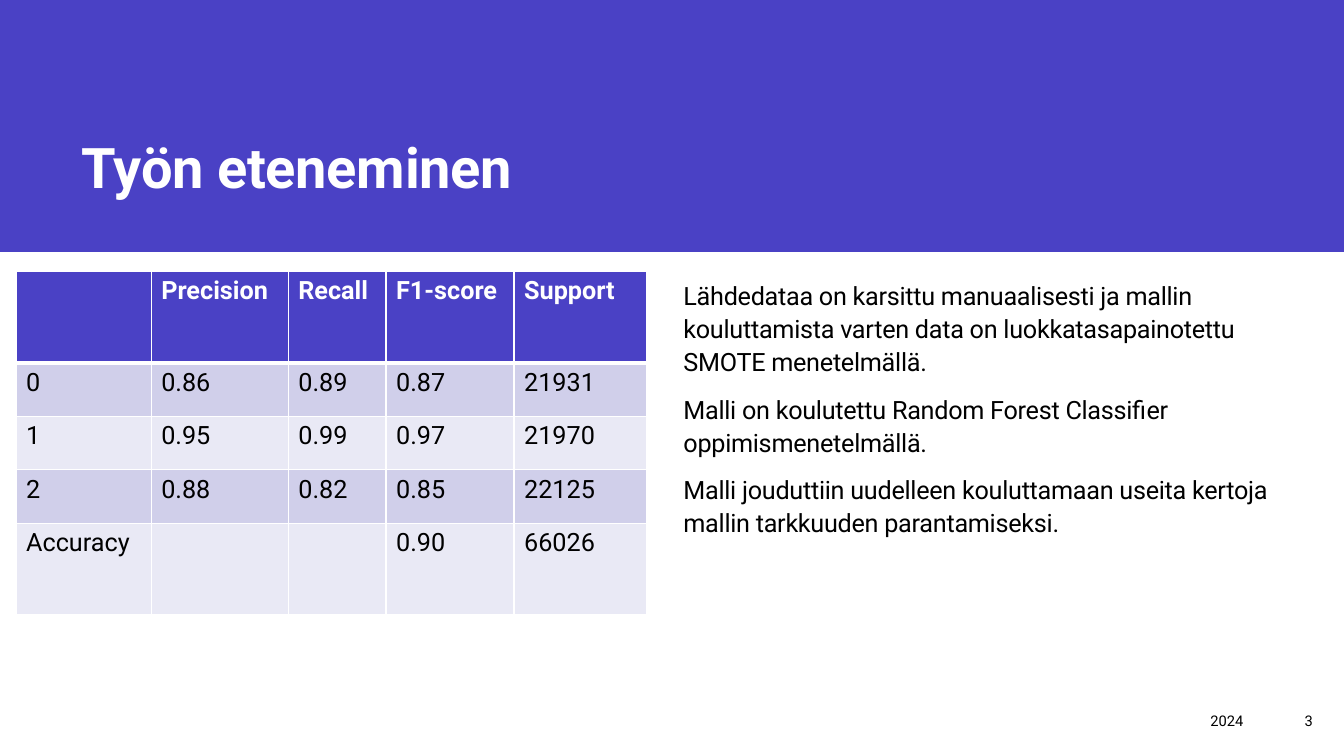
from lxml.etree import SubElement
from pptx import Presentation
from pptx.dml.color import RGBColor
from pptx.enum.shapes import MSO_SHAPE
from pptx.enum.text import MSO_ANCHOR, PP_ALIGN
from pptx.oxml.ns import qn
from pptx.util import Inches, Pt

SLIDE_WIDTH, SLIDE_HEIGHT = 13.33, 7.5
FONT = "Roboto"
COLORS = {
    "accent": "4A41C5",
    "band_dark": "D0CFEA",
    "band_light": "E9E9F5",
    "white": "FFFFFF",
    "black": "000000",
}
SCORES = [
    ["", "Precision", "Recall", "F1-score", "Support"],
    ["0", "0.86", "0.89", "0.87", "21931"],
    ["1", "0.95", "0.99", "0.97", "21970"],
    ["2", "0.88", "0.82", "0.85", "22125"],
    ["Accuracy", "", "", "0.90", "66026"],
]
COLUMN_WIDTHS = [1.34, 1.36, 0.97, 1.27, 1.31]
TALL_ROW, SHORT_ROW = 0.91, 0.53
ROW_HEIGHTS = [TALL_ROW] + [SHORT_ROW] * 3 + [TALL_ROW]
FINDINGS = [
    "Lähdedataa on karsittu manuaalisesti ja mallin kouluttamista varten "
    "data on luokkatasapainotettu SMOTE menetelmällä.",
    "Malli on koulutettu Random Forest Classifier oppimismenetelmällä.",
    "Malli jouduttiin uudelleen kouluttamaan useita kertoja mallin "
    "tarkkuuden parantamiseksi.",
]


def color(name):
    return RGBColor.from_string(COLORS[name])


def box(left, top, width, height):
    return [Inches(length) for length in (left, top, width, height)]


def add_run(paragraph, text, size, ink="black", bold=False, spacing=None):
    """Append a run; spacing is in hundredths of a point."""
    run = paragraph.add_run()
    run.text = text
    run.font.name = FONT
    run.font.size = Pt(size)
    run.font.bold = bold
    run.font.color.rgb = color(ink)
    if spacing is not None:
        run.font._element.set("spc", str(spacing))


def add_banner(slide):
    banner = slide.shapes.add_shape(
        MSO_SHAPE.RECTANGLE, *box(0, 0, SLIDE_WIDTH, SLIDE_HEIGHT / 3))
    banner.shadow.inherit = False
    banner.fill.solid()
    banner.fill.fore_color.rgb = color("accent")
    banner.line.fill.background()
    slide.shapes.title._element.addprevious(banner._element)


def set_title(slide, text):
    title = slide.shapes.title
    title.left, title.top, title.width, title.height = box(0.71, 0.4, 10.42, 1.64)
    frame = title.text_frame
    frame.word_wrap = True
    frame.vertical_anchor = MSO_ANCHOR.BOTTOM
    heading = frame.paragraphs[0]
    heading.alignment = PP_ALIGN.LEFT
    heading.line_spacing = 0.9
    add_run(heading, text, 40, "white", bold=True, spacing=-20)


def set_borders(cell, top, bottom):
    """Draw white borders, given the top and bottom widths in points."""
    properties = cell._tc.get_or_add_tcPr()
    for side, width in (("L", 1), ("R", 1), ("T", top), ("B", bottom)):
        border = SubElement(properties, qn(f"a:ln{side}"), w=str(Pt(width)))
        fill = SubElement(border, qn("a:solidFill"))
        SubElement(fill, qn("a:srgbClr"), val=COLORS["white"])


def add_score_table(slide):
    table = slide.shapes.add_table(
        len(SCORES), len(SCORES[0]),
        *box(0.16, 2.69, sum(COLUMN_WIDTHS), sum(ROW_HEIGHTS))).table
    for column, width in zip(table.columns, COLUMN_WIDTHS):
        column.width = Inches(width)
    for row, height in zip(table.rows, ROW_HEIGHTS):
        row.height = Inches(height)
    for r, scores in enumerate(SCORES):
        header = r == 0
        band = "accent" if header else ("band_light", "band_dark")[r % 2]
        for c, score in enumerate(scores):
            cell = table.cell(r, c)
            set_borders(cell, top=3 if r == 1 else 1, bottom=3 if header else 1)
            cell.fill.solid()
            cell.fill.fore_color.rgb = color(band)
            if score:
                add_run(cell.text_frame.paragraphs[0], score, 18,
                        "white" if header else "black", bold=header)


def add_findings(slide):
    frame = slide.shapes.add_textbox(*box(6.68, 2.7, 6.35, 4.08)).text_frame
    frame.word_wrap = True
    for i, finding in enumerate(FINDINGS):
        paragraph = frame.add_paragraph() if i else frame.paragraphs[0]
        paragraph.line_spacing = 1.1
        paragraph.space_before = Pt(10)
        add_run(paragraph, finding, 18, spacing=-20)


def add_footer(slide, text, left, width):
    frame = slide.shapes.add_textbox(*box(left, 6.95, width, 0.4)).text_frame
    frame.word_wrap = True
    frame.vertical_anchor = MSO_ANCHOR.MIDDLE
    frame.paragraphs[0].alignment = PP_ALIGN.RIGHT
    add_run(frame.paragraphs[0], text, 10.5)


def main():
    deck = Presentation()
    deck.slide_width, deck.slide_height = Inches(SLIDE_WIDTH), Inches(SLIDE_HEIGHT)
    slide = deck.slides.add_slide(deck.slide_layouts.get_by_name("Title Only"))
    add_banner(slide)
    set_title(slide, "Työn eteneminen")
    add_score_table(slide)
    add_footer(slide, "2024", 7.67, 4.76)
    add_footer(slide, "3", 12.43, 0.69)
    add_findings(slide)
    deck.save("out.pptx")


if __name__ == "__main__":
    main()
